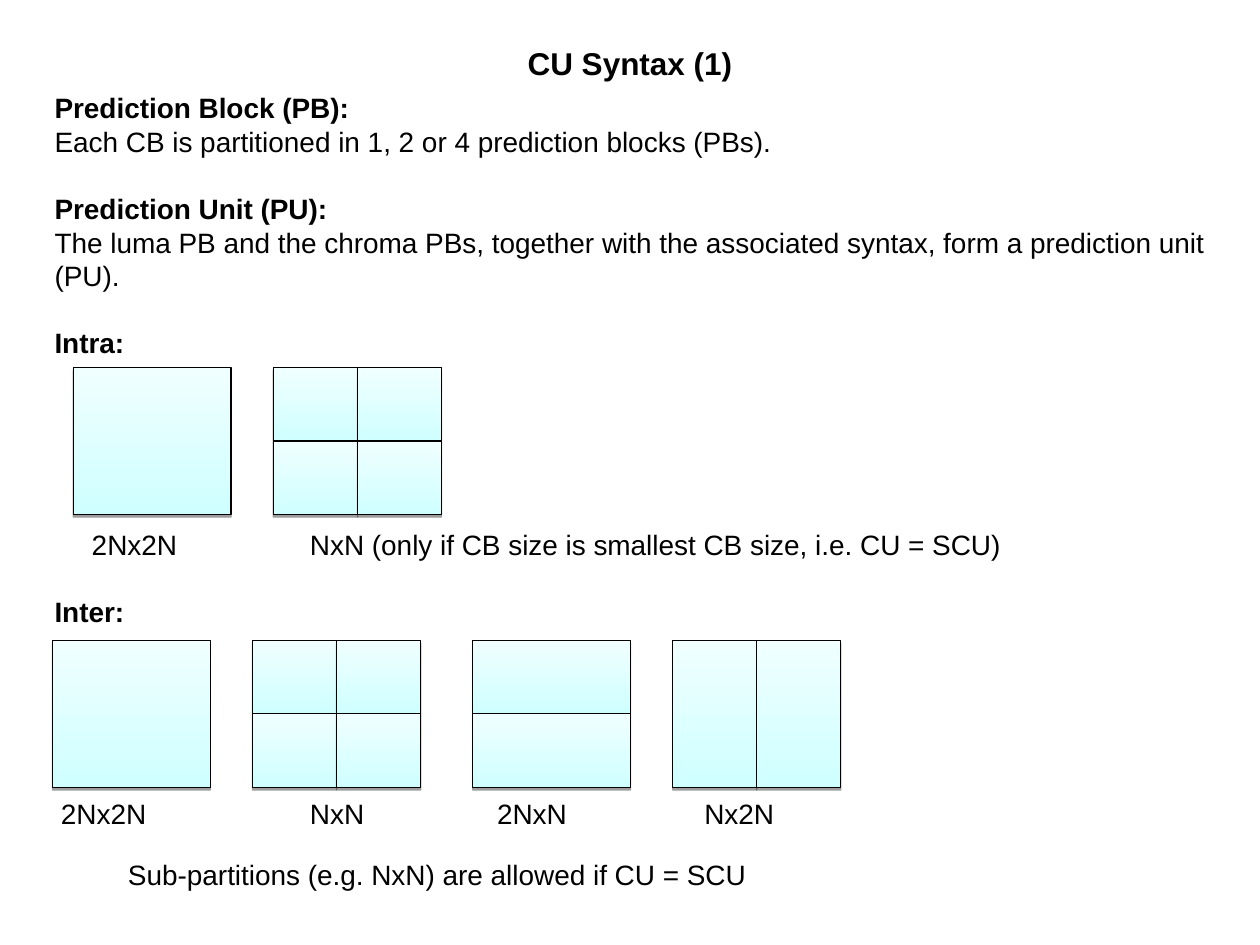
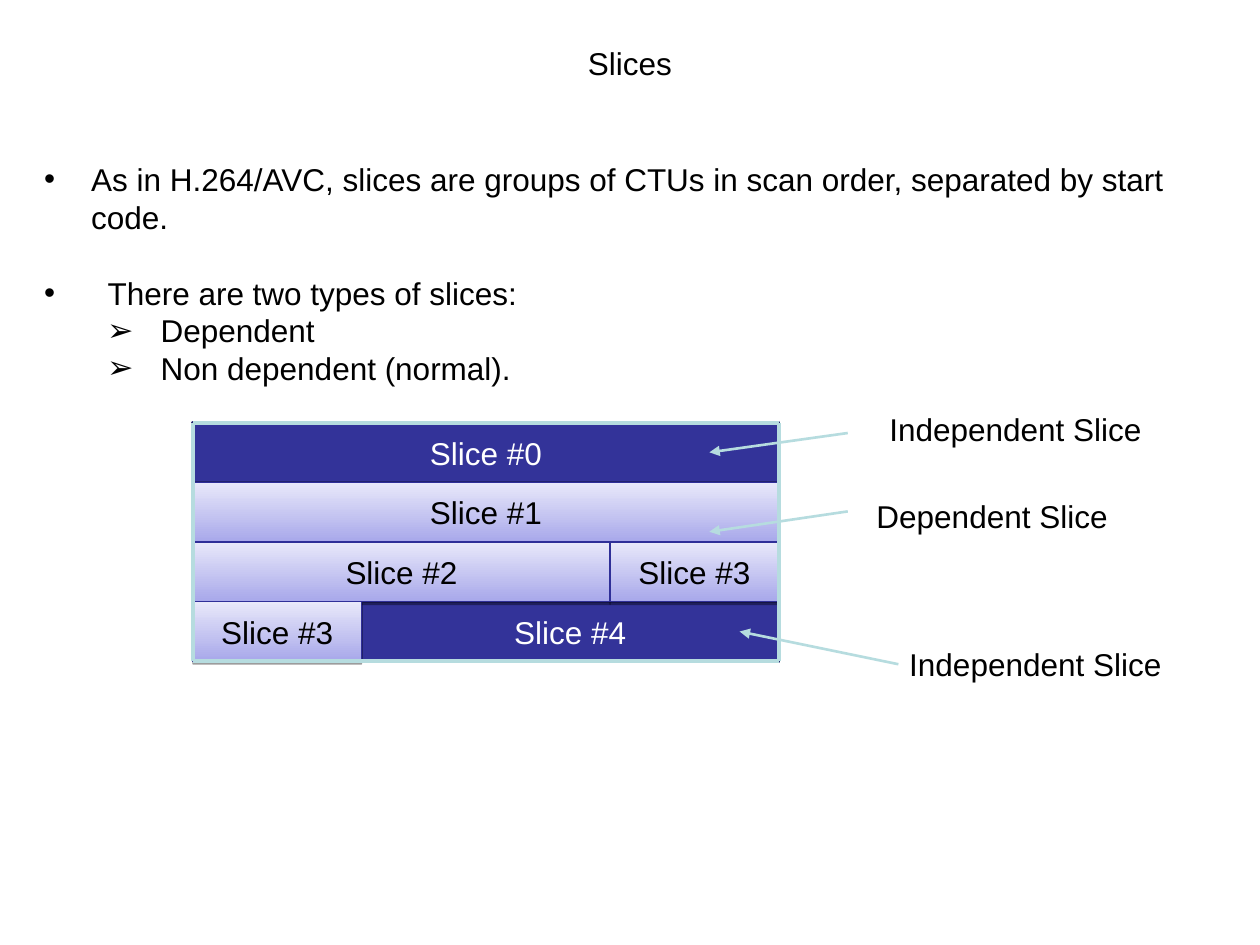
from lxml import etree
from pptx import Presentation
from pptx import util as u
from pptx.dml.color import RGBColor
from pptx.enum import shapes, text
from pptx.oxml import ns

BLACK = RGBColor(0x00, 0x00, 0x00)
WHITE = RGBColor(0xFF, 0xFF, 0xFF)
AQUA = RGBColor(0xCF, 0xFF, 0xFF)
PALE_AQUA = RGBColor(0xF0, 0xFF, 0xFF)
LILAC = RGBColor(0xA8, 0xA8, 0xEA)
PALE_LILAC = RGBColor(0xE8, 0xE8, 0xFA)
INDIGO = RGBColor(0x33, 0x33, 0x99)
INDIGO_LINE = RGBColor(0x2F, 0x2F, 0x98)
DARK_INDIGO = RGBColor(0x23, 0x23, 0x6F)
TEAL = RGBColor(0xB6, 0xDC, 0xDF)

FONT = "Arial"
LEADING = 1.2
INSET_X, INSET_Y = 0.25, 0.13
LINE_16 = 16 * LEADING
LINE_18 = 18 * LEADING


def add_child(parent, tag, **attributes):
    child = etree.SubElement(parent, ns.qn(tag))
    for name, value in attributes.items():
        child.set(name, str(value))
    return child


def write_text(paragraph, words, size=18, bold=False, color=BLACK, align=None,
               before=0, bullet=None, margin=0, hanging=0, tabs=()):
    paragraph.alignment = align
    paragraph.line_spacing = u.Pt(size * LEADING)
    paragraph.space_before = u.Pt(before)
    run = paragraph.add_run()
    run.text = words
    run.font.name = FONT
    run.font.size = u.Pt(size)
    run.font.bold = bold
    run.font.color.rgb = color
    properties = paragraph._p.get_or_add_pPr()
    if bullet:
        properties.set("marL", str(u.Cm(margin)))
        properties.set("indent", str(-u.Cm(hanging)))
        add_child(properties, "a:buFont", typeface=FONT)
        add_child(properties, "a:buChar", char=bullet)
    if tabs:
        tab_list = add_child(properties, "a:tabLst")
        for tab in tabs:
            add_child(tab_list, "a:tab", pos=u.Cm(tab), algn="l")


def set_frame(shape, wrap=True, anchor=text.MSO_ANCHOR.TOP):
    frame = shape.text_frame
    frame.word_wrap = wrap
    frame.vertical_anchor = anchor
    frame.margin_left = frame.margin_right = u.Cm(INSET_X)
    frame.margin_top = frame.margin_bottom = u.Cm(INSET_Y)
    return frame


def add_text(slide, box, paragraphs, wrap=True, anchor=text.MSO_ANCHOR.TOP):
    shape = slide.shapes.add_textbox(*(u.Cm(length) for length in box))
    frame = set_frame(shape, wrap, anchor)
    for index, (words, style) in enumerate(paragraphs):
        paragraph = frame.add_paragraph() if index else frame.paragraphs[0]
        write_text(paragraph, words, **style)


def add_title(slide, words, bold=False):
    style = dict(bold=bold, align=text.PP_ALIGN.CENTER)
    add_text(slide, (1.27, 0.2, 22.86, 2.12), [(words, style)],
             anchor=text.MSO_ANCHOR.MIDDLE)


def add_rectangle(slide, box, fill, line, width=0.75):
    shape = slide.shapes.add_shape(shapes.MSO_SHAPE.RECTANGLE,
                                   *(u.Cm(length) for length in box))
    shape.shadow.inherit = False
    shape.line.color.rgb = line
    shape.line.width = u.Pt(width)
    if isinstance(fill, RGBColor):
        shape.fill.solid()
        shape.fill.fore_color.rgb = fill
        return shape
    shape.fill.gradient()
    shape.fill.gradient_angle = 90
    for stop, color in zip(shape.fill.gradient_stops, fill):
        stop.color.rgb = color
    effects = shape.element.spPr.find(ns.qn("a:effectLst"))
    shadow = add_child(effects, "a:outerShdw", blurRad=0, dist=u.Pt(1.6),
                       dir=5400000, rotWithShape=0)
    shade = add_child(shadow, "a:srgbClr", val=BLACK)
    add_child(shade, "a:alpha", val=38000)
    return shape


def add_line(slide, start, end, width, arrow=False):
    line = slide.shapes.add_connector(
        shapes.MSO_CONNECTOR.STRAIGHT,
        *(u.Cm(length) for length in (*start, *end)))
    line.line.color.rgb = TEAL
    line.line.width = u.Pt(width)
    if arrow:
        add_child(line.line._get_or_add_ln(), "a:tailEnd", type="triangle")
    add_child(line.element.spPr, "a:effectLst")


def add_partitions(slide, left, top, blocks, height=2.96):
    for offset, width, columns, rows in blocks:
        cell_width, cell_height = width / columns, height / rows
        for column in range(columns):
            for row in range(rows):
                box = (left + offset + column * cell_width,
                       top + row * cell_height, cell_width, cell_height)
                add_rectangle(slide, box, (AQUA, PALE_AQUA), BLACK)


def add_slice_map(slide, left, top, width=11.81, row_height=1.2):
    long_part = 8.41
    short_part = width - long_part
    slices = [
        ("Slice #0", 0, 0, width, True),
        ("Slice #4", 3, short_part, long_part, True),
        ("Slice #1", 1, 0, width, False),
        ("Slice #2", 2, 0, long_part, False),
        ("Slice #3", 2, long_part, short_part, False),
        ("Slice #3", 3, 0, short_part, False),
    ]
    for name, row, offset, length, independent in slices:
        box = (left + offset, top + row * row_height, length, row_height)
        if independent:
            shape = add_rectangle(slide, box, INDIGO, DARK_INDIGO, 2)
        else:
            shape = add_rectangle(slide, box, (LILAC, PALE_LILAC), INDIGO_LINE)
        frame = set_frame(shape, anchor=text.MSO_ANCHOR.MIDDLE)
        write_text(frame.paragraphs[0], name, align=text.PP_ALIGN.CENTER,
                   color=WHITE if independent else BLACK)

    right, bottom = left + width, top + 4 * row_height
    corners = [(left, top), (right, top), (right, bottom), (left, bottom)]
    for start, end in zip(corners, corners[1:] + corners[:1]):
        add_line(slide, start, end, 2.25)

    callouts = [
        ("Independent Slice", (13.79, -0.4, 5.59), (13.2, 0.2), (10.41, 0.59)),
        ("Dependent Slice", (13.53, 1.35, 5.16), (13.2, 1.78), (10.41, 2.19)),
        ("Independent Slice", (14.19, 4.35, 5.59), (14.22, 4.86), (11.02, 4.2)),
    ]
    for label, (x, y, length), start, end in callouts:
        add_text(slide, (left + x, top + y, length, 1.02), [(label, {})], wrap=False)
        add_line(slide, (left + start[0], top + start[1]),
                 (left + end[0], top + end[1]), 1.5, arrow=True)


def build_syntax_slide(slide):
    add_title(slide, "CU Syntax (1)", bold=True)
    heading = dict(size=16, bold=True)
    plain = dict(size=16)
    next_heading = dict(heading, before=LINE_16)
    caption = dict(plain, before=5 * LINE_16)
    add_text(slide, (0.85, 1.7, 23.7, 17.3), [
        ("Prediction Block (PB):", heading),
        ("Each CB is partitioned in 1, 2 or 4 prediction blocks (PBs).", plain),
        ("Prediction Unit (PU):", next_heading),
        ("The luma PB and the chroma PBs, together with the associated syntax, "
         "form a prediction unit (PU).", plain),
        ("Intra:", next_heading),
        ("\t2Nx2N\tNxN (only if CB size is smallest CB size, i.e. CU = SCU)",
         dict(caption, tabs=(0.75, 5.15))),
        ("Inter:", next_heading),
        ("\t2Nx2N\tNxN\t2NxN\tNx2N",
         dict(caption, tabs=(0.13, 5.15, 8.92, 13.1))),
    ])
    intra = [(0, 3.18, 1, 1), (4.03, 3.39, 2, 2)]
    inter = intra + [(8.47, 3.18, 1, 2), (12.5, 3.39, 2, 1)]
    add_partitions(slide, 1.48, 7.41, intra)
    add_partitions(slide, 1.06, 12.91, inter)
    add_text(slide, (2.33, 17.15, 18.42, 0.94),
             [("Sub-partitions (e.g. NxN) are allowed if CU = SCU", plain)])


def build_slices_slide(slide):
    add_title(slide, "Slices")
    kind = dict(bullet="➢", margin=2.35, hanging=1.08)
    add_text(slide, (0.64, 3.1, 23.92, 15.5), [
        ("As in H.264/AVC, slices are groups of CTUs in scan order, "
         "separated by start code.", dict(bullet="•", margin=0.95, hanging=0.95)),
        ("There are two types of slices:",
         dict(bullet="•", margin=1.28, hanging=1.28, before=LINE_18)),
        ("Dependent", kind),
        ("Non dependent (normal).", kind),
    ])
    add_slice_map(slide, 3.89, 8.53)


def main():
    presentation = Presentation()
    presentation.slide_width = u.Cm(25.4)
    presentation.slide_height = u.Cm(19.05)
    for build in (build_syntax_slide, build_slices_slide):
        build(presentation.slides.add_slide(presentation.slide_layouts[6]))
    presentation.save("out.pptx")


if __name__ == "__main__":
    main()
